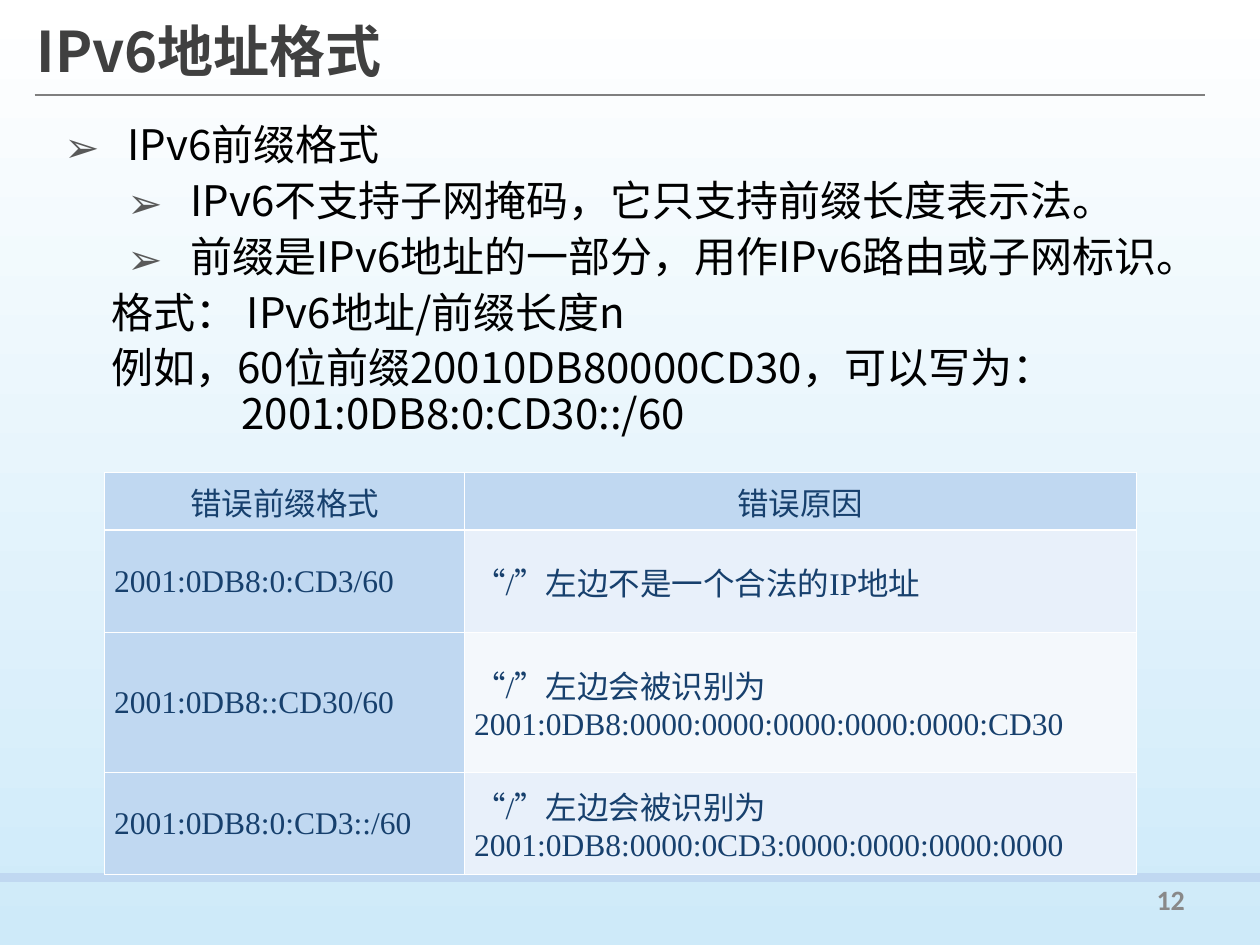
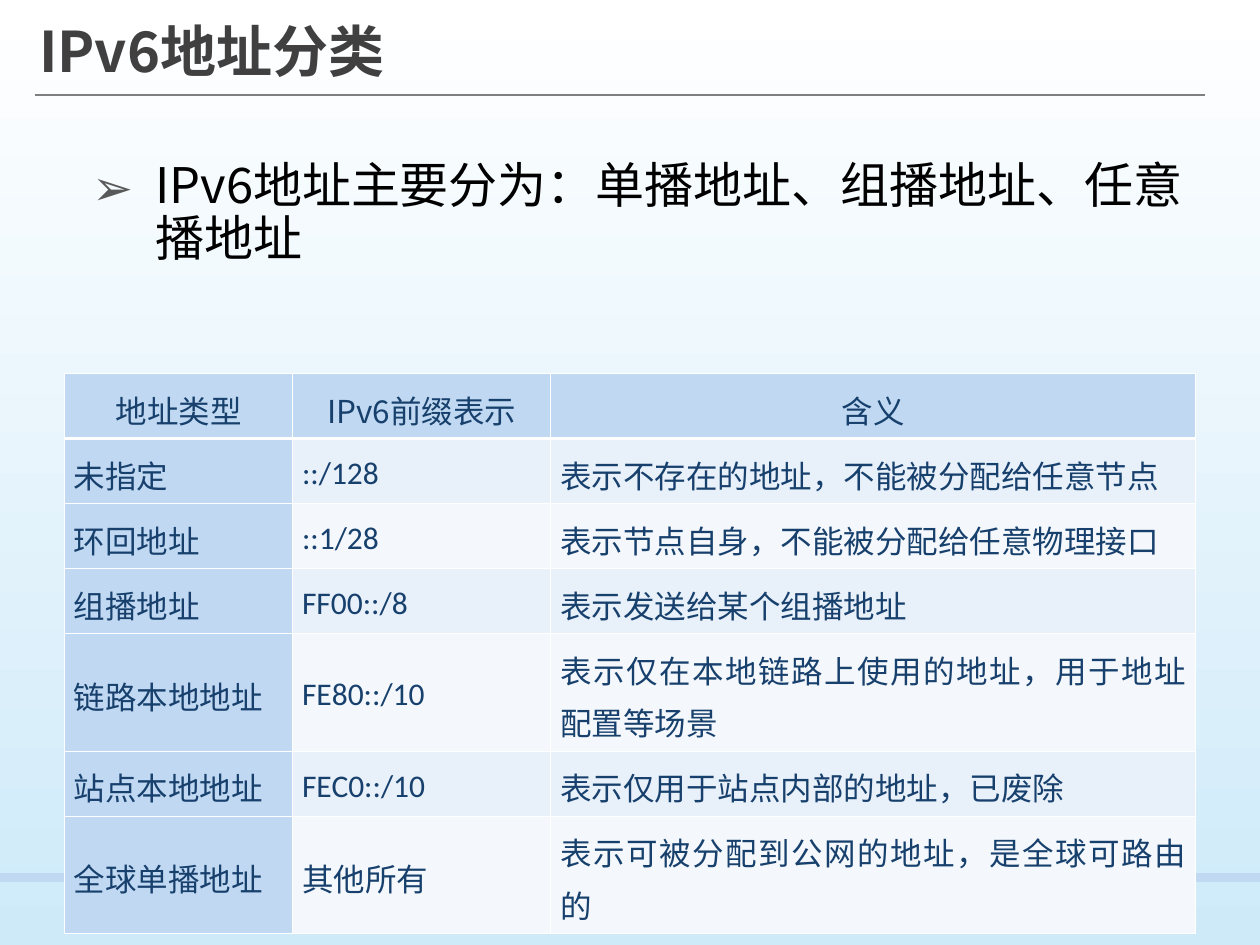
from lxml import etree
from pptx import Presentation
from pptx.dml.color import RGBColor
from pptx.enum.shapes import MSO_CONNECTOR, MSO_SHAPE
from pptx.enum.text import MSO_ANCHOR, PP_ALIGN
from pptx.oxml.ns import qn
from pptx.util import Cm, Pt

RECTANGLE = MSO_SHAPE.RECTANGLE
STRAIGHT = MSO_CONNECTOR.STRAIGHT
MIDDLE = MSO_ANCHOR.MIDDLE
LEFT, CENTER, JUSTIFY = PP_ALIGN.LEFT, PP_ALIGN.CENTER, PP_ALIGN.JUSTIFY

COLORS = {
    "top": "FFFFFF", "bottom": "CEEAF9", "band": "C0D8F1", "rule": "7F7F7F",
    "title": "404040", "body": "000000", "bullet": "595959", "number": "898989",
    "cell_text": "17406D", "odd_row": "E8F0FA", "even_row": "F4F8FC",
    "border": "FFFFFF",
}
CJK_FONT = "Noto Sans CJK SC"
THIN, THICK = Pt(0.45), Pt(1.47)

# Paragraph kinds: left margin and first-line indent in cm, bullet or not
INDENTS = {
    "point": (2.37, -1.27, True),
    "subpoint": (3.64, -1.27, True),
    "plain": (4.67, -2.62, False),
}

SLIDES = [
    {
        "title": "IPv6地址格式", "title_left": 0.49, "number": "12",
        "body_box": (-0.05, 2.38, 25.35, 9.0), "body_size": 24,
        "body": [
            ("point", "IPv6前缀格式"),
            ("subpoint", "IPv6不支持子网掩码，它只支持前缀长度表示法。"),
            ("subpoint", "前缀是IPv6地址的一部分，用作IPv6路由或子网标识。"),
            ("plain", "格式： IPv6地址/前缀长度n"),
            ("plain", "例如，60位前缀20010DB80000CD30，可以写为：\v2001:0DB8:0:CD30::/60"),
        ],
        "table_at": (2.11, 9.53), "columns": [7.26, 13.53],
        "row_heights": [1.16, 2.06, 2.82, 2.06],
        "header_font": "Times New Roman", "cell_font": "Times New Roman",
        "line_spacing": 1.0,
        "rows": [
            ["错误前缀格式", "错误原因"],
            ["2001:0DB8:0:CD3/60", "“/”左边不是一个合法的IP地址"],
            ["2001:0DB8::CD30/60",
             "“/”左边会被识别为\n2001:0DB8:0000:0000:0000:0000:0000:CD30"],
            ["2001:0DB8:0:CD3::/60",
             "“/”左边会被识别为\n2001:0DB8:0000:0CD3:0000:0000:0000:0000"],
        ],
    },
    {
        "title": "IPv6地址分类", "title_left": 0.54, "number": None,
        "body_box": (0.51, 3.12, 24.41, 4.0), "body_size": 28,
        "body": [("point", "IPv6地址主要分为：单播地址、组播地址、任意播地址")],
        "table_at": (1.3, 7.53), "columns": [4.6, 5.2, 13.0],
        "row_heights": [1.31, 1.31, 1.31, 1.31, 2.37, 1.31, 2.37],
        "header_font": CJK_FONT, "cell_font": "Calibri",
        "line_spacing": 1.15,
        "rows": [
            ["地址类型", "IPv6前缀表示", "含义"],
            ["未指定", "::/128", "表示不存在的地址，不能被分配给任意节点"],
            ["环回地址", "::1/28", "表示节点自身，不能被分配给任意物理接口"],
            ["组播地址", "FF00::/8", "表示发送给某个组播地址"],
            ["链路本地地址", "FE80::/10", "表示仅在本地链路上使用的地址，用于地址配置等场景"],
            ["站点本地地址", "FEC0::/10", "表示仅用于站点内部的地址，已废除"],
            ["全球单播地址", "其他所有", "表示可被分配到公网的地址，是全球可路由的"],
        ],
    },
]


def format_paragraph(paragraph, size, color, font=CJK_FONT, bold=False,
                     align=LEFT, spacing=1.0, before=0, after=0):
    paragraph.alignment = align
    paragraph.line_spacing = spacing
    paragraph.space_before, paragraph.space_after = Pt(before), Pt(after)
    for run in paragraph.runs:
        run.font.size, run.font.bold, run.font.name = Pt(size), bold, font
        run.font.color.rgb = RGBColor.from_string(COLORS[color])
        east_asian = etree.Element(qn("a:ea"), typeface=CJK_FONT)
        run.font._element.find(qn("a:latin")).addnext(east_asian)


def add_text_frame(slide, left, top, width, height):
    box = slide.shapes.add_textbox(Cm(left), Cm(top), Cm(width), Cm(height))
    box.text_frame.word_wrap = True
    return box.text_frame


presentation = Presentation()
presentation.slide_width, presentation.slide_height = Cm(25.4), Cm(19.05)

for content in SLIDES:
    slide = presentation.slides.add_slide(presentation.slide_layouts[6])

    # Background, bottom band and title rule
    background = slide.background.fill
    background.gradient()
    background.gradient_angle = 270
    for stop, position, name in zip(background.gradient_stops, (0, 1), ("top", "bottom")):
        stop.position = position
        stop.color.rgb = RGBColor.from_string(COLORS[name])
    band = slide.shapes.add_shape(RECTANGLE, 0, Cm(17.6), Cm(25.4), Cm(0.18))
    band.shadow.inherit = False
    band.fill.solid()
    band.fill.fore_color.rgb = RGBColor.from_string(COLORS["band"])
    band.line.fill.background()
    rule = slide.shapes.add_connector(STRAIGHT, Cm(0.7), Cm(1.92), Cm(24.3), Cm(1.92))
    rule.line.color.rgb = RGBColor.from_string(COLORS["rule"])
    rule.line.width = Pt(1.25)
    etree.SubElement(rule._element.spPr, qn("a:effectLst"))

    # Body text
    body = add_text_frame(slide, *content["body_box"])
    for index, (kind, text) in enumerate(content["body"]):
        paragraph = body.add_paragraph() if index else body.paragraphs[0]
        paragraph.text = text
        format_paragraph(paragraph, content["body_size"], "body",
                         spacing=0.9, before=2, after=4)
        margin, indent, has_bullet = INDENTS[kind]
        properties = paragraph._p.get_or_add_pPr()
        properties.set("marL", str(Cm(margin)))
        properties.set("indent", str(Cm(indent)))
        if has_bullet:
            bullet_color = etree.SubElement(properties, qn("a:buClr"))
            etree.SubElement(bullet_color, qn("a:srgbClr"), val=COLORS["bullet"])
            etree.SubElement(properties, qn("a:buFont"), typeface=CJK_FONT)
            etree.SubElement(properties, qn("a:buChar"), char="➢")

    # Title and slide number
    title = add_text_frame(slide, content["title_left"], 0.36, 22.81, 1.65)
    title.text = content["title"]
    format_paragraph(title.paragraphs[0], 32, "title", bold=True,
                     spacing=0.9, before=12, after=2)
    if content["number"]:
        number = add_text_frame(slide, 22.7, 17.66, 1.8, 1.02)
        number.text = content["number"]
        format_paragraph(number.paragraphs[0], 16, "number", "Calibri", True, CENTER)

    # Table
    rows, columns, heights = content["rows"], content["columns"], content["row_heights"]
    left, top = content["table_at"]
    table = slide.shapes.add_table(len(rows), len(columns), Cm(left), Cm(top),
                                   Cm(sum(columns)), Cm(sum(heights))).table
    table.first_row = table.horz_banding = False
    for column, width in zip(table.columns, columns):
        column.width = Cm(width)
    for row, height in zip(table.rows, heights):
        row.height = Cm(height)
    for row_index, row in enumerate(rows):
        is_header = row_index == 0
        for column_index, text in enumerate(row):
            cell = table.cell(row_index, column_index)
            cell.text = text
            cell.vertical_anchor = MIDDLE
            cell.margin_left = cell.margin_right = Cm(0.19)
            cell.margin_top = cell.margin_bottom = Cm(0.13)
            for paragraph in cell.text_frame.paragraphs:
                format_paragraph(
                    paragraph, 18, "cell_text",
                    content["header_font" if is_header else "cell_font"],
                    align=CENTER if is_header else JUSTIFY,
                    spacing=content["line_spacing"])
            if is_header or column_index == 0:
                fill = "band"
            else:
                fill = "odd_row" if row_index % 2 else "even_row"
            cell.fill.solid()
            cell.fill.fore_color.rgb = RGBColor.from_string(COLORS[fill])
            borders = {"lnL": THIN, "lnR": THIN,
                       "lnT": THICK if row_index == 1 else THIN,
                       "lnB": THICK if is_header else THIN}
            for position, (side, width) in enumerate(borders.items()):
                border = etree.Element(qn(f"a:{side}"), w=str(width))
                border_fill = etree.SubElement(border, qn("a:solidFill"))
                etree.SubElement(border_fill, qn("a:srgbClr"), val=COLORS["border"])
                cell._tc.get_or_add_tcPr().insert(position, border)

presentation.save("out.pptx")
